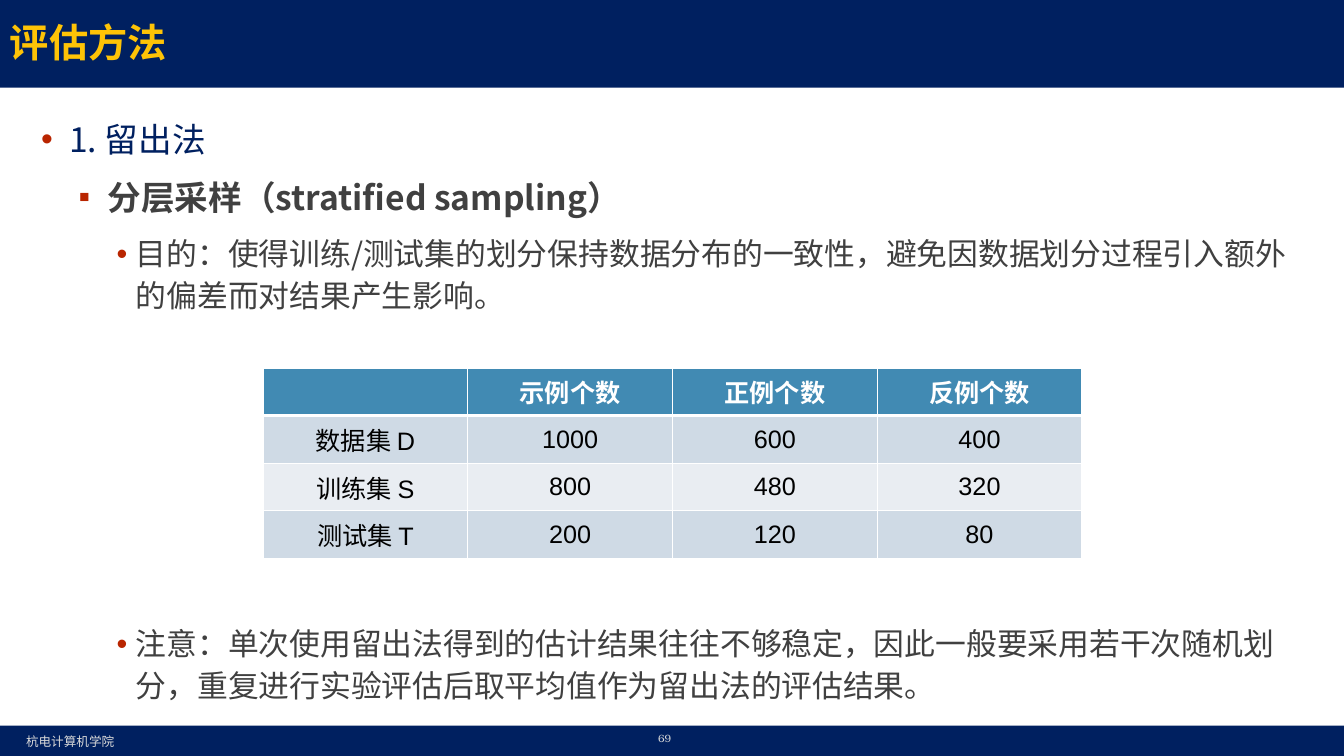
from lxml.etree import SubElement
from pptx import Presentation
from pptx.dml.color import RGBColor
from pptx.enum.shapes import MSO_SHAPE
from pptx.enum.text import MSO_ANCHOR, PP_ALIGN
from pptx.oxml.ns import qn
from pptx.util import Inches, Pt

# Content
TITLE = "评估方法"
SCHOOL = "杭电计算机学院"
PAGE = "69"
OUTLINE = [
    (0, "1. 留出法"),
    (1, "分层采样（stratified sampling）"),
    (2, "目的：使得训练/测试集的划分保持数据分布的一致性，避免因数据划分过程引入额外的偏差而对结果产生影响。"),
]
CAUTION = [
    (2, "注意：单次使用留出法得到的估计结果往往不够稳定，因此一般要采用若干次随机划分，重复进行实验评估后取平均值作为留出法的评估结果。"),
]
SAMPLES = [
    ("", "示例个数", "正例个数", "反例个数"),
    ("数据集 D", "1000", "600", "400"),
    ("训练集 S", "800", "480", "320"),
    ("测试集 T", "200", "120", "80"),
]

# Colours and fonts
NAVY = RGBColor(0x00, 0x20, 0x60)
GOLD = RGBColor(0xFE, 0xC3, 0x06)
PALE = RGBColor(0xD9, 0xD9, 0xD9)
DARK = RGBColor(0x40, 0x40, 0x40)
RED = RGBColor(0xB9, 0x25, 0x00)
WHITE = RGBColor(0xFF, 0xFF, 0xFF)
BLACK = RGBColor(0x00, 0x00, 0x00)
HEADER_BLUE = RGBColor(0x41, 0x8A, 0xB3)
BANDS = [RGBColor(0xE9, 0xED, 0xF2), RGBColor(0xCF, 0xDA, 0xE5)]
CJK = "Noto Sans CJK SC"

# Per level: indent, hanging, bullet, bullet percent, text format
LEVELS = [
    (0.28, 0.28, "•", 100, dict(size=24, color=NAVY)),
    (0.66, 0.28, "■", 50, dict(size=24, color=DARK, bold=True)),
    (0.94, 0.19, "•", 100, dict(size=22, color=DARK)),
]


def write(paragraph, text, *, size, color, bold=False, font=CJK, align=None):
    run = paragraph.add_run()
    run.text = text
    run.font.size = Pt(size)
    run.font.bold = bold
    run.font.color.rgb = color
    run.font.name = font
    SubElement(run.font._element, qn("a:ea"), typeface=CJK)
    if align is not None:
        paragraph.alignment = align


def add_frame(left, top, width, height):
    frame = slide.shapes.add_textbox(
        Inches(left), Inches(top), Inches(width), Inches(height)).text_frame
    frame.word_wrap = True
    return frame


def add_bar(top, height):
    bar = slide.shapes.add_shape(
        MSO_SHAPE.RECTANGLE, 0, Inches(top), deck.slide_width, Inches(height))
    bar.shadow.inherit = False
    bar.fill.solid()
    bar.fill.fore_color.rgb = NAVY
    bar.line.fill.background()


def add_bullets(frame, items):
    for index, (level, text) in enumerate(items):
        indent, hanging, bullet, percent, style = LEVELS[level]
        paragraph = frame.add_paragraph() if index else frame.paragraphs[0]
        paragraph.line_spacing = 1.14
        if index:
            paragraph.space_before = Pt(9)
        props = paragraph._p.get_or_add_pPr()
        props.set("marL", str(Inches(indent)))
        props.set("indent", str(-Inches(hanging)))
        SubElement(SubElement(props, qn("a:buClr")), qn("a:srgbClr"), val=str(RED))
        SubElement(props, qn("a:buSzPct"), val=str(percent * 1000))
        SubElement(props, qn("a:buFont"), typeface="Arial")
        SubElement(props, qn("a:buChar"), char=bullet)
        write(paragraph, text, **style)


def add_border(cell, side, points):
    line = SubElement(cell._tc.get_or_add_tcPr(), qn("a:ln" + side), w=str(Pt(points)))
    SubElement(SubElement(line, qn("a:solidFill")), qn("a:srgbClr"), val=str(WHITE))


deck = Presentation()
deck.slide_width, deck.slide_height = Inches(13.33), Inches(7.5)
slide = deck.slides.add_slide(deck.slide_layouts[6])

# Header and footer
add_bar(-0.03, 0.9)
add_bar(7.2, 0.3)
write(add_frame(0.16, 7.23, 1.5, 0.25).paragraphs[0], SCHOOL, size=9, color=PALE)
write(add_frame(6.43, 7.21, 0.5, 0.23).paragraphs[0], PAGE,
      size=7.5, color=PALE, font="TeX Gyre Bonum")
heading = add_frame(0, 0.05, 13.33, 0.74)
heading.vertical_anchor = MSO_ANCHOR.MIDDLE
write(heading.paragraphs[0], TITLE, size=28, color=GOLD, bold=True, align=PP_ALIGN.JUSTIFY)

# Body text above and below the table
add_bullets(add_frame(0.31, 1.07, 12.7, 2.2), OUTLINE)
add_bullets(add_frame(0.31, 6.1, 12.7, 0.95), CAUTION)

# Sample counts
samples = slide.shapes.add_table(
    len(SAMPLES), len(SAMPLES[0]),
    Inches(2.61), Inches(3.65), Inches(8.12), Inches(1.89)).table
for r, counts in enumerate(SAMPLES):
    for c, text in enumerate(counts):
        cell = samples.cell(r, c)
        cell.vertical_anchor = MSO_ANCHOR.MIDDLE
        cell.margin_left = cell.margin_right = Inches(0.07)
        cell.margin_top = cell.margin_bottom = Inches(0.04)
        for side in "LRTB":
            under_header = (r, side) in ((0, "B"), (1, "T"))
            add_border(cell, side, 3 if under_header else 1)
        cell.fill.solid()
        cell.fill.fore_color.rgb = BANDS[r % 2] if r else HEADER_BLUE
        if text:
            write(cell.text_frame.paragraphs[0], text, size=18, bold=r == 0,
                  color=BLACK if r else WHITE, font="Arial", align=PP_ALIGN.CENTER)

deck.save("out.pptx")
